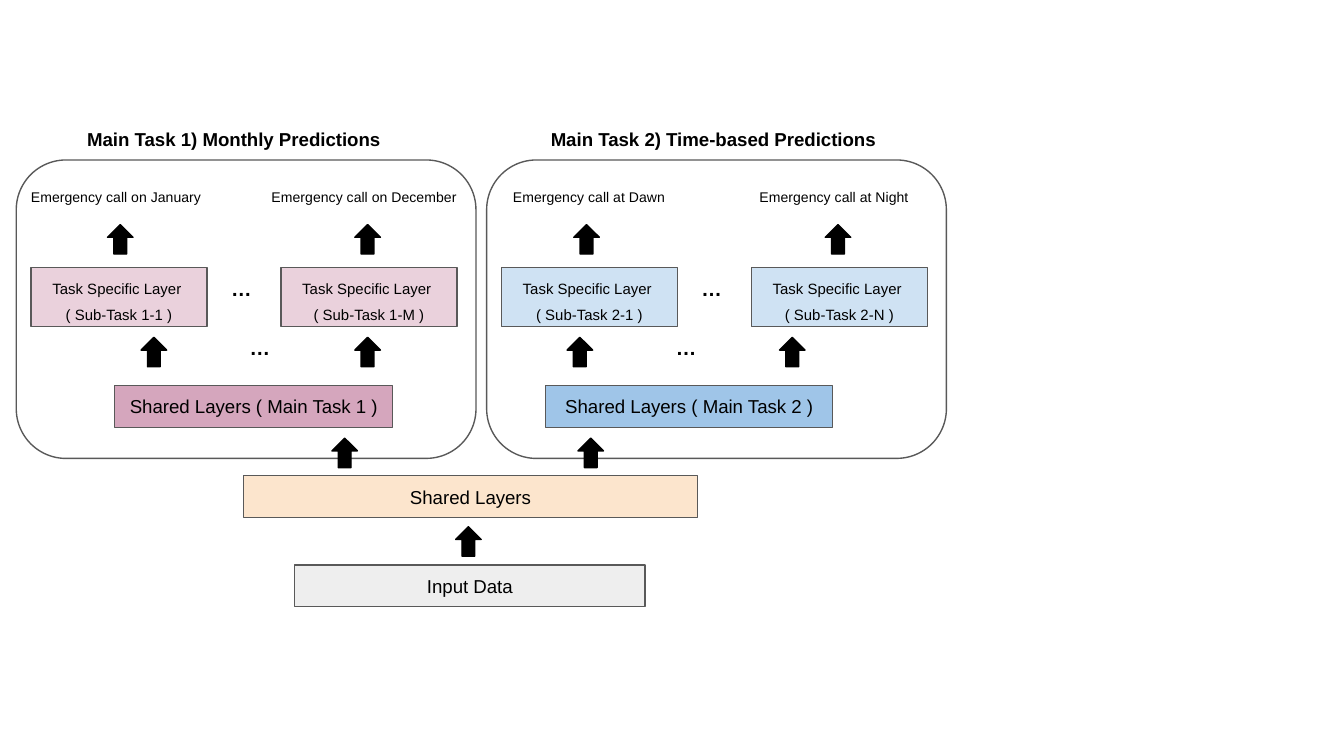
import dataclasses

import lxml.etree
import pptx
import pptx.dml.color
import pptx.enum.shapes
import pptx.enum.text
import pptx.oxml.ns
import pptx.util

Pt = pptx.util.Pt
Shape = pptx.enum.shapes.MSO_SHAPE
Align = pptx.enum.text.PP_ALIGN


@dataclasses.dataclass(frozen=True)
class Theme:
    font: str = "Arial"
    ink: str = "000000"
    outline: str = "595959"
    input_fill: str = "EEEEEE"
    shared_fill: str = "FCE5CD"
    task_fills: tuple = ("D5A6BD", "9FC5E8")
    subtask_fills: tuple = ("EAD1DC", "CFE2F3")
    heading: float = 10
    dots: float = 11
    subtask: float = 8
    output: float = 7.5
    stroke: float = 0.75
    inset: float = 7.2


class Diagram:
    def __init__(self, slide, theme):
        self.slide = slide
        self.theme = theme

    def color(self, value):
        return pptx.dml.color.RGBColor.from_string(value)

    def set_words(self, shape, words, size, bold=False, align=Align.LEFT, spacing=None):
        frame = shape.text_frame
        frame.word_wrap = True
        inset = Pt(self.theme.inset)
        frame.margin_left = frame.margin_right = inset
        frame.margin_top = frame.margin_bottom = inset
        paragraph = frame.paragraphs[0]
        paragraph.text = words
        paragraph.alignment = align
        if spacing:
            paragraph.line_spacing = spacing
        for run in paragraph.runs:
            run.font.name = self.theme.font
            run.font.size = Pt(size)
            run.font.bold = bold
            run.font.color.rgb = self.color(self.theme.ink)
        for line_break in paragraph._p.findall(pptx.oxml.ns.qn("a:br")):
            lxml.etree.SubElement(
                line_break, pptx.oxml.ns.qn("a:rPr"), sz=str(int(size * 100))
            )

    def outlined(self, kind, left, top, width, height, fill=None, line=None):
        shape = self.slide.shapes.add_shape(
            kind, Pt(left), Pt(top), Pt(width), Pt(height)
        )
        shape.shadow.inherit = False
        if fill:
            shape.fill.solid()
            shape.fill.fore_color.rgb = self.color(fill)
        else:
            shape.fill.background()
        shape.line.color.rgb = self.color(line or self.theme.outline)
        shape.line.width = Pt(self.theme.stroke)
        return shape

    def panel(self, left):
        self.outlined(Shape.ROUNDED_RECTANGLE, left, 85.7, 246.3, 159.9)

    def layer(self, words, left, top, width, fill):
        box = self.outlined(Shape.RECTANGLE, left, top, width, 22.3, fill)
        box.text_frame.vertical_anchor = pptx.enum.text.MSO_ANCHOR.MIDDLE
        self.set_words(box, words, self.theme.heading, align=Align.CENTER)

    def subtask(self, code, left, fill):
        box = self.outlined(Shape.RECTANGLE, left, 143.3, 94.4, 31.7, fill)
        box.text_frame.vertical_anchor = pptx.enum.text.MSO_ANCHOR.MIDDLE
        words = f"Task Specific Layer \n( Sub-Task {code} )"
        self.set_words(box, words, self.theme.subtask, align=Align.CENTER, spacing=1.5)

    def arrow(self, left, top):
        ink = self.theme.ink
        self.outlined(Shape.UP_ARROW, left, top, 13.7, 15.8, ink, ink)

    def label(self, words, left, top, width, height, size, bold=False):
        box = self.slide.shapes.add_textbox(Pt(left), Pt(top), Pt(width), Pt(height))
        self.set_words(box, words, size, bold)
        box.text_frame.auto_size = pptx.enum.text.MSO_AUTO_SIZE.SHAPE_TO_FIT_TEXT

    def dots(self, left, top):
        self.label("…", left, top, 33.8, 28.1, self.theme.dots, True)


@dataclasses.dataclass(frozen=True)
class MainTask:
    title: str
    title_left: float
    shared_left: float
    shared_width: float
    trunk_arrow: float
    branch_arrows: tuple
    branch_dots: float
    output_arrows: tuple
    subtasks: tuple
    outputs: tuple


MAIN_TASKS = (
    MainTask(
        "Monthly Predictions", 39.6, 61.4, 149, 177.8,
        (75.6, 190.1), 126.7, (57.6, 190.1), ("1-1", "1-M"),
        (("on January", 9.5, 116), ("on December", 138.4, 119)),
    ),
    MainTask(
        "Time-based Predictions", 288, 292.3, 153.6, 309.6,
        (303.8, 417.6), 355, (307.4, 442.1), ("2-1", "2-N"),
        (("at Dawn", 267.7, 116), ("at Night", 399.8, 116)),
    ),
)
PANEL_LEFT, PANEL_STEP = 8.7, 252
SUBTASK_INSET, SUBTASK_STEP = 7.9, 133.9
DOTS_INSET = 108


def draw_main_task(diagram, index, task):
    theme = diagram.theme
    left = PANEL_LEFT + index * PANEL_STEP
    number = index + 1
    diagram.panel(left)
    diagram.layer(
        f"Shared Layers ( Main Task {number} )", task.shared_left, 206.6,
        task.shared_width, theme.task_fills[index],
    )
    diagram.arrow(task.trunk_arrow, 234.7)
    for column, code in enumerate(task.subtasks):
        subtask_left = left + SUBTASK_INSET + column * SUBTASK_STEP
        diagram.subtask(code, subtask_left, theme.subtask_fills[index])
        diagram.arrow(task.branch_arrows[column], 180.7)
        diagram.arrow(task.output_arrows[column], 120.3)
        when, output_left, width = task.outputs[column]
        diagram.label(
            f"Emergency call {when}", output_left, 96.5, width, 23.8, theme.output
        )
    diagram.dots(left + DOTS_INSET, 141.1)
    diagram.dots(task.branch_dots, 172.8)
    diagram.label(
        f"Main Task {number}) {task.title}", task.title_left, 62.6,
        194.4, 26.6, theme.heading, True,
    )


def main():
    deck = pptx.Presentation()
    deck.slide_width, deck.slide_height = Pt(720), Pt(405)
    theme = Theme()
    diagram = Diagram(deck.slides.add_slide(deck.slide_layouts[6]), theme)
    for index, task in enumerate(MAIN_TASKS):
        draw_main_task(diagram, index, task)
    diagram.layer("Shared Layers", 130.3, 254.9, 243.4, theme.shared_fill)
    diagram.arrow(244.1, 282.2)
    diagram.layer("Input Data", 157.7, 302.7, 188, theme.input_fill)
    deck.save("out.pptx")


if __name__ == "__main__":
    main()
